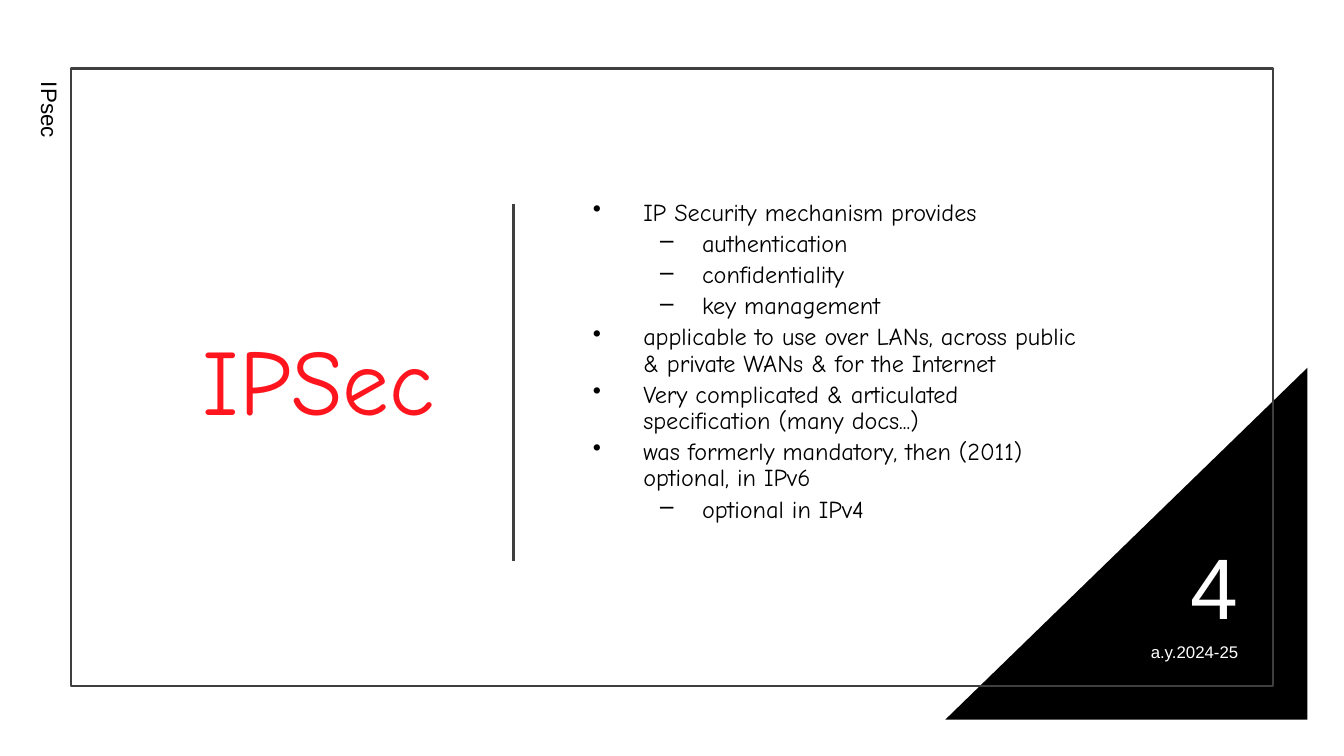
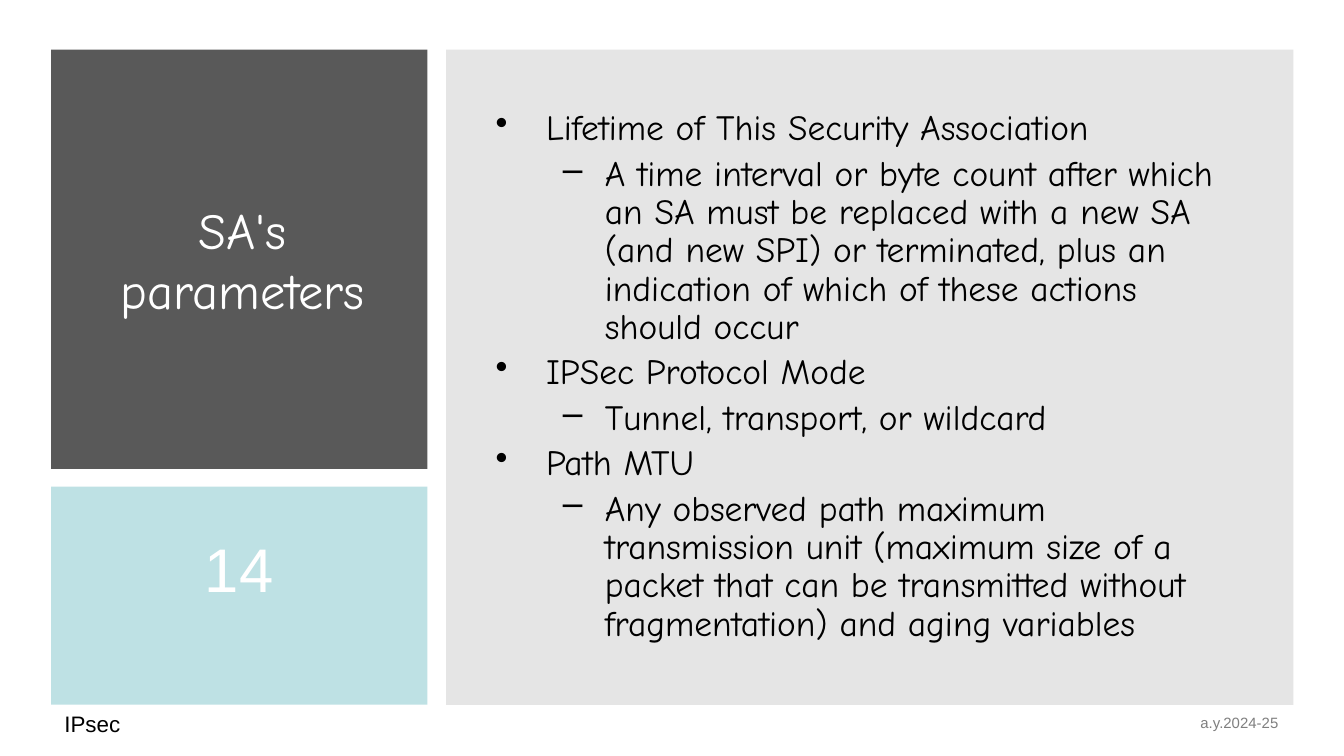
from dataclasses import dataclass
from typing import Any, NamedTuple, Optional

from pptx import Presentation
from pptx import util as u
from pptx.dml import color
from pptx.enum import shapes, text
from pptx.oxml import ns
from lxml import etree

Pt = u.Pt
Align = text.PP_ALIGN
Mid = text.MSO_ANCHOR.MIDDLE
Shape = shapes.MSO_SHAPE


@dataclass(frozen=True)
class Theme:
    ink: str = "000000"
    white: str = "FFFFFF"
    red: str = "FF151E"
    frame: str = "3F3F3F"
    slate: str = "595959"
    aqua: str = "BBE0E3"
    gray: str = "7F7F7F"
    plain: str = "Arial"
    comic: str = "Comic Neue"
    hero: float = 50
    count: float = 46
    page: float = 33
    head: float = 27
    large: float = 19
    body: float = 13
    label: float = 12
    date: float = 9
    small: float = 8
    rule: float = 1.5
    tight: float = 0.9


T = Theme()


class Box(NamedTuple):
    left: float
    top: float
    width: float
    height: float


class Level(NamedTuple):
    margin: float
    hang: float
    mark: str


class Item(NamedTuple):
    words: str
    level: int = 0


@dataclass(frozen=True)
class Panel:
    box: Box
    fill: Optional[str] = None
    line: Optional[str] = None
    alpha: int = 100
    kind: Any = Shape.RECTANGLE
    flip: bool = False


@dataclass(frozen=True)
class Label:
    words: str
    box: Box
    size: float
    tint: str
    font: str = T.plain
    align: Any = Align.LEFT
    anchor: Any = text.MSO_ANCHOR.TOP
    space: Optional[float] = None
    turn: float = 0


@dataclass(frozen=True)
class Bullets:
    items: tuple[Item, ...]
    box: Box
    size: float
    gap: float
    base: float = 3.6


LEVELS = (Level(27, 22.5 + 4.5, "•"), Level(58.5, 22.5, "–"))
TOPIC = "IPsec"
YEAR = "a.y.2024-25"


def apply(target: Any, values: dict[str, Any]) -> None:
    for name, value in values.items():
        setattr(target, name, value)


def tint(code: str) -> color.RGBColor:
    return color.RGBColor.from_string(code)


def style(font: Any, name: str, size: float, code: str) -> None:
    apply(font, {"name": name, "size": Pt(size)})
    font.color.rgb = tint(code)


def draw_panel(slide: Any, panel: Panel) -> None:
    shape = slide.shapes.add_shape(panel.kind, *map(Pt, panel.box))
    shape.shadow.inherit = False
    if panel.fill:
        shape.fill.solid()
        shape.fill.fore_color.rgb = tint(panel.fill)
    else:
        shape.fill.background()
    if panel.line:
        shape.line.color.rgb = tint(panel.line)
        shape.line.width = Pt(T.rule)
    else:
        shape.line.fill.background()
    if panel.alpha < 100:
        code = shape._element.spPr.find(".//" + ns.qn("a:srgbClr"))
        etree.SubElement(code, ns.qn("a:alpha"), val=str(panel.alpha * 1000))
    if panel.flip:
        shape._element.spPr.find(ns.qn("a:xfrm")).set("flipH", "1")


def draw_rule(slide: Any, left: float, top: float, end: float) -> None:
    rule = slide.shapes.add_connector(
        shapes.MSO_CONNECTOR.STRAIGHT, Pt(left), Pt(top), Pt(left), Pt(end))
    rule.line.color.rgb = tint(T.frame)
    rule.line.width = Pt(T.rule)
    etree.SubElement(rule._element.spPr, ns.qn("a:effectLst"))


def add_text(slide: Any, box: Box, anchor: Any, base: float = 3.6) -> Any:
    shape = slide.shapes.add_textbox(*map(Pt, box))
    apply(shape.text_frame, {
        "word_wrap": True, "vertical_anchor": anchor,
        "margin_left": Pt(7.2), "margin_right": Pt(7.2),
        "margin_top": Pt(3.6), "margin_bottom": Pt(base),
    })
    return shape


def draw_label(slide: Any, label: Label) -> None:
    shape = add_text(slide, label.box, label.anchor)
    shape.rotation = label.turn
    para = shape.text_frame.paragraphs[0]
    run = para.add_run()
    run.text = label.words
    apply(para, {"alignment": label.align, "line_spacing": label.space})
    style(run.font, label.font, label.size, label.tint)


def add_mark(para: Any, level: Level) -> None:
    props = para._p.get_or_add_pPr()
    props.set("marL", str(Pt(level.margin)))
    props.set("indent", str(-Pt(level.hang)))
    shade = etree.SubElement(props, ns.qn("a:buClr"))
    etree.SubElement(shade, ns.qn("a:srgbClr"), val=T.ink)
    etree.SubElement(props, ns.qn("a:buChar"), char=level.mark)


def draw_list(slide: Any, block: Bullets) -> None:
    frame = add_text(slide, block.box, Mid, block.base).text_frame
    for index, item in enumerate(block.items):
        para = frame.add_paragraph() if index else frame.paragraphs[0]
        add_mark(para, LEVELS[item.level])
        apply(para, {
            "level": item.level, "line_spacing": T.tight,
            "space_before": Pt(block.gap if index else 0),
        })
        run = para.add_run()
        run.text = item.words
        style(run.font, T.comic, block.size, T.ink)


def draw_foot(slide: Any, topic: Box, date: Box, size: float, code: str,
              turn: float = 0) -> None:
    draw_label(slide, Label(TOPIC, topic, T.label, T.ink,
                            space=T.tight, turn=turn))
    draw_label(slide, Label(YEAR, date, size, code, align=Align.RIGHT))


def draw_intro(slide: Any) -> None:
    draw_panel(slide, Panel(Box(506.5, 197, 194, 188.5), T.ink,
                            kind=Shape.RIGHT_TRIANGLE, flip=True))
    draw_panel(slide, Panel(Box(38, 36.5, 644, 331), line=T.frame))
    draw_label(slide, Label("IPSec", Box(63.5, 70, 176.5, 265), T.hero, T.red,
                            T.comic, Align.RIGHT, Mid))
    draw_rule(slide, 275, 109.2, 300.5)
    draw_list(slide, Bullets((
        Item("IP Security mechanism provides"),
        Item("authentication", 1),
        Item("confidentiality", 1),
        Item("key management", 1),
        Item("applicable to use over LANs, across public "
             "& private WANs & for the Internet"),
        Item("Very complicated & articulated specification (many docs...)"),
        Item("was formerly mandatory, then (2011) optional, in IPv6"),
        Item("optional in IPv4", 1),
    ), Box(310.5, 97.2, 278, 210.2), T.body, 2.6, base=20.4))
    draw_foot(slide, Box(-140.4, 191.5, 331, 21.6),
              Box(530, 340.5, 140.4, 21.6), T.date, T.white, turn=90)
    draw_label(slide, Label("4", Box(571.7, 288.7, 98.7, 59), T.count, T.white,
                            align=Align.RIGHT, space=T.tight))


def draw_params(slide: Any) -> None:
    draw_panel(slide, Panel(Box(27.4, 26.6, 201.6, 224.6), T.slate))
    draw_label(slide, Label("SA's parameters", Box(46, 43.2, 168, 191.5),
                            T.head, T.white, T.comic, Align.CENTER, Mid))
    draw_panel(slide, Panel(Box(27.4, 260.8, 201.6, 116.8), T.aqua, alpha=95))
    draw_label(slide, Label("14", Box(69.8, 280.8, 116.6, 77), T.page, T.white,
                            align=Align.CENTER))
    draw_panel(slide, Panel(Box(239, 26.6, 454, 351), T.gray, alpha=20))
    draw_list(slide, Bullets((
        Item("Lifetime of This Security Association"),
        Item("A time interval or byte count after which an SA must be "
             "replaced with a new SA (and new SPI) or terminated, plus an "
             "indication of which of these actions should occur", 1),
        Item("IPSec Protocol Mode"),
        Item("Tunnel, transport, or wildcard", 1),
        Item("Path MTU"),
        Item("Any observed path maximum transmission unit (maximum size of a "
             "packet that can be transmitted without fragmentation) and "
             "aging variables", 1),
    ), Box(258.5, 40.3, 415.5, 323.3), T.large, 3.8))
    draw_foot(slide, Box(27.4, 378.7, 394, 21.6),
              Box(530, 378.7, 162, 21.6), T.small, T.gray)


def main() -> None:
    deck = Presentation()
    apply(deck, {"slide_width": Pt(720), "slide_height": Pt(405)})
    for draw in (draw_intro, draw_params):
        draw(deck.slides.add_slide(deck.slide_layouts[6]))
    deck.save("out.pptx")


if __name__ == "__main__":
    main()
